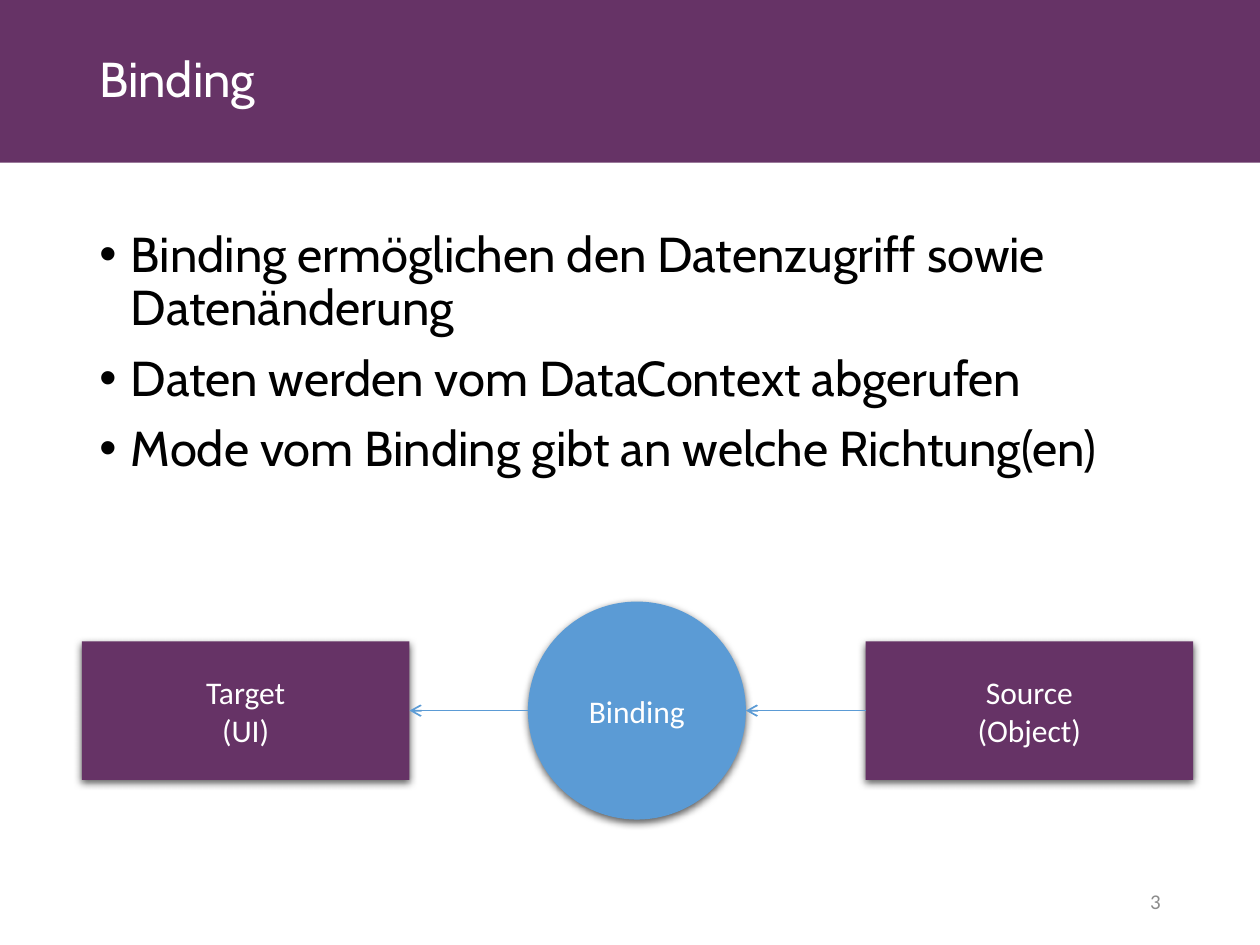
from dataclasses import dataclass

from lxml import etree
from pptx import Presentation
from pptx import util as u
from pptx.dml.color import RGBColor
from pptx.enum import shapes, text
from pptx.oxml import parse_xml
from pptx.oxml.ns import nsdecls, qn

RECT = shapes.MSO_SHAPE.RECTANGLE
OVAL = shapes.MSO_SHAPE.OVAL
MID = text.MSO_ANCHOR.MIDDLE
TOP = text.MSO_ANCHOR.TOP
ALIGN = text.PP_ALIGN


@dataclass(frozen=True)
class Theme:
    plum: str = "663366"
    blue: str = "5B9BD5"
    white: str = "FFFFFF"
    black: str = "000000"
    gray: str = "8C8C8C"
    head: str = "Cabin"
    body: str = "Calibri"
    big: int = 28
    label: int = 18
    small: int = 12


class Page:
    def __init__(self, deck, theme):
        self.theme = theme
        self.slide = deck.slides.add_slide(deck.slide_layouts[6])

    def set_text(self, frame, lines, face, size, color, align, anchor=MID):
        frame.word_wrap = True
        frame.vertical_anchor = anchor
        frame.text = "\n".join(lines)
        for par in frame.paragraphs:
            par.alignment = align
            par.font.name = face
            par.font.size = u.Pt(size)
            par.font.color.rgb = RGBColor.from_string(color)
        return frame.paragraphs

    def text(self, box, lines, face, size, color, align=ALIGN.LEFT, anchor=MID):
        item = self.slide.shapes.add_textbox(*map(u.Inches, box))
        return self.set_text(item.text_frame, lines, face, size, color, align, anchor)

    def shape(self, kind, box, fill):
        item = self.slide.shapes.add_shape(kind, *map(u.Inches, box))
        item.fill.solid()
        item.fill.fore_color.rgb = RGBColor.from_string(fill)
        item.line.fill.background()
        item.shadow.inherit = False
        return item

    def node(self, kind, box, fill, lines):
        """Add a labelled shape with a soft shadow below it."""
        t = self.theme
        item = self.shape(kind, box, fill)
        effects = item.element.spPr.find(qn("a:effectLst"))
        effects.append(parse_xml(
            f'<a:outerShdw {nsdecls("a")} blurRad="{u.Pt(4.5)}" dist="{u.Pt(1.5)}" '
            f'dir="5400000" algn="ctr" rotWithShape="0"><a:srgbClr val="{t.black}">'
            '<a:alpha val="63000"/></a:srgbClr></a:outerShdw>'))
        self.set_text(item.text_frame, lines, t.body, t.label, t.white, ALIGN.CENTER)
        return item

    def arrow(self, start, end, y):
        ends = [u.Inches(v) for v in (start, y, end, y)]
        line = self.slide.shapes.add_connector(shapes.MSO_CONNECTOR.STRAIGHT, *ends)
        line.line.width = u.Pt(1)
        line.line.color.rgb = RGBColor.from_string(self.theme.blue)
        props = line.element.spPr
        etree.SubElement(props.find(qn("a:ln")), qn("a:tailEnd"), type="arrow")
        etree.SubElement(props, qn("a:effectLst"))
        return line

    def bullets(self, box, lines):
        t = self.theme
        for par in self.text(box, lines, t.head, t.big, t.black, anchor=TOP):
            par.line_spacing = 0.9
            par.space_before = u.Pt(10)
            props = par._p.get_or_add_pPr()
            props.set("marL", str(u.Inches(0.25)))
            props.set("indent", str(-u.Inches(0.25)))
            mark = parse_xml(f'<a:buChar {nsdecls("a")} char="•"/>')
            font = parse_xml(f'<a:buFont {nsdecls("a")} typeface="Arial"/>')
            props.find(qn("a:defRPr")).addprevious(font)
            font.addnext(mark)


def main():
    deck = Presentation()
    deck.slide_width, deck.slide_height = u.Inches(10), u.Inches(7.5)
    t = Theme()
    page = Page(deck, t)
    left, wide, band = 0.69, 8.62, 1.29

    page.shape(RECT, (0, 0, 10, band), t.plum)
    title = page.text((left, 0, 8.02, band), ["Binding"], t.head, t.big, t.white)
    title[0].line_spacing = 0.9
    page.bullets((left, 1.78, wide, 4.97), [
        "Binding ermöglichen den Datenzugriff sowie Datenänderung",
        "Daten werden vom DataContext abgerufen",
        "Mode vom Binding gibt an welche Richtung(en)",
    ])
    page.text((left, 6.95, wide, 0.4), ["3"], t.body, t.small, t.gray, ALIGN.RIGHT)

    mid, high, span = 5.64, 1.1, 2.6
    near, far, ring, size = 0.65, 6.87, 4.19, 1.73
    top = mid - high / 2
    target = page.node(RECT, (near, top, span, high), t.plum, ["Target", "(UI)"])
    page.node(OVAL, (ring, mid - size / 2, size, size), t.blue, ["Binding"])
    source = page.node(RECT, (far, top, span, high), t.plum, ["Source", "(Object)"])

    page.arrow(ring, near + span, mid).end_connect(target, 3)
    page.arrow(far, ring + size, mid).begin_connect(source, 1)
    deck.save("out.pptx")


if __name__ == "__main__":
    main()
